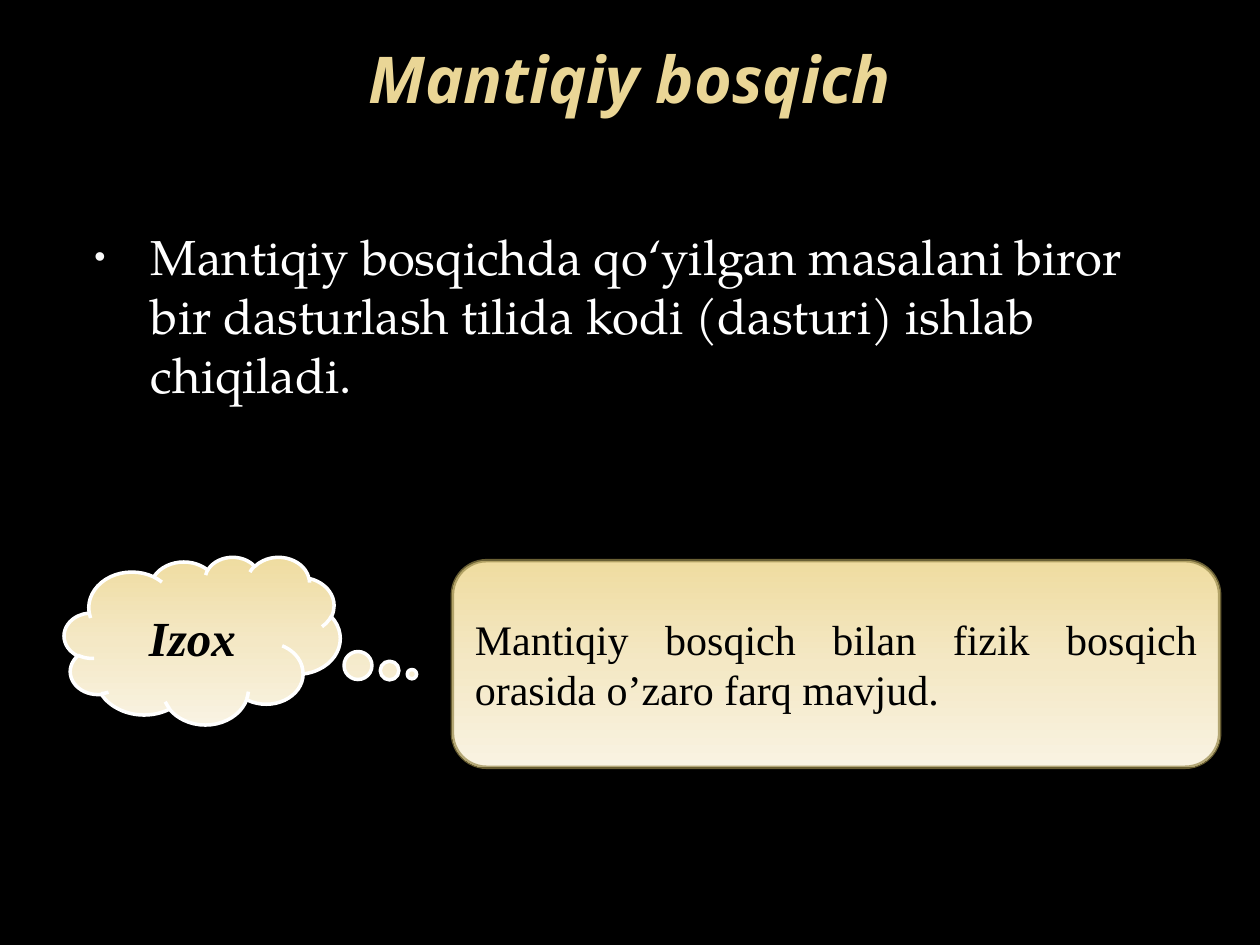
from copy import deepcopy
from dataclasses import dataclass

from pptx import Presentation
from pptx.dml.color import RGBColor
from pptx.enum.shapes import MSO_SHAPE
from pptx.enum.text import MSO_ANCHOR, PP_ALIGN
from pptx.oxml.ns import qn
from pptx.util import Pt
from lxml import etree

CLOUD, ROUNDED = MSO_SHAPE.CLOUD_CALLOUT, MSO_SHAPE.ROUNDED_RECTANGLE
TOP, MIDDLE = MSO_ANCHOR.TOP, MSO_ANCHOR.MIDDLE
LEFT, CENTER, JUSTIFY = PP_ALIGN.LEFT, PP_ALIGN.CENTER, PP_ALIGN.JUSTIFY


@dataclass(frozen=True)
class TextStyle:
    font: str
    size: float
    color: str
    emphasis: bool = False


@dataclass(frozen=True)
class Theme:
    background: str = "000000"
    bullet: str = "F9F9F9"
    cloud_line: str = "FFFFFF"
    note_line: str = "98894B"
    panel: tuple = ((0, "EFDCA0"), (0.5, "F4E8C5"), (1, "F9F3E2"))
    title: TextStyle = TextStyle("Open Sans", 36.9, "EAD696", True)
    body: TextStyle = TextStyle("TeX Gyre Pagella", 28, "FFFFFF")
    label: TextStyle = TextStyle("Times New Roman", 28, "000000", True)
    note: TextStyle = TextStyle("Times New Roman", 24, "000000")


THEME = Theme()


def color(value):
    return RGBColor.from_string(value)


def points(box):
    return [Pt(length) for length in box]


def write(shape, text, style, alignment, anchor):
    frame = shape.text_frame
    frame.word_wrap = True
    frame.vertical_anchor = anchor
    paragraph = frame.paragraphs[0]
    paragraph.alignment = alignment
    run = paragraph.add_run()
    run.text = text
    run.font.name = style.font
    run.font.size = Pt(style.size)
    run.font.bold = run.font.italic = style.emphasis
    run.font.color.rgb = color(style.color)
    return paragraph


def add_bullet(paragraph):
    properties = paragraph._p.get_or_add_pPr()
    properties.set("marL", str(Pt(43.2)))
    properties.set("indent", str(Pt(-32.4)))
    bullet_color = etree.SubElement(properties, qn("a:buClr"))
    etree.SubElement(bullet_color, qn("a:srgbClr"), val=THEME.bullet)
    etree.SubElement(properties, qn("a:buSzPct"), val="65000")
    etree.SubElement(properties, qn("a:buFont"), typeface="Arial")
    etree.SubElement(properties, qn("a:buChar"), char="•")


def add_title(slide, box, text):
    shape = slide.shapes.add_textbox(*points(box))
    paragraph = write(shape, text, THEME.title, CENTER, MIDDLE)
    paragraph.add_line_break()
    paragraph.font.size = Pt(THEME.title.size)
    paragraph.font.name = THEME.title.font


def add_body(slide, box, text):
    shape = slide.shapes.add_textbox(*points(box))
    paragraph = write(shape, text, THEME.body, LEFT, TOP)
    paragraph.space_before = Pt(0.2 * THEME.body.size)
    add_bullet(paragraph)


def add_panel(slide, kind, box, line_color):
    shape = slide.shapes.add_shape(kind, *points(box))
    shape.shadow.inherit = False
    shape.fill.gradient()
    shape.fill.gradient_angle = 270
    stop_list = shape._element.spPr.find(".//" + qn("a:gsLst"))
    stop_list.insert(1, deepcopy(stop_list[0]))
    for stop, (position, value) in zip(shape.fill.gradient_stops, THEME.panel):
        stop.position = position
        stop.color.rgb = color(value)
    shape.line.color.rgb = color(line_color)
    shape.line.width = Pt(2)
    return shape


def add_cloud(slide, box, text):
    shape = add_panel(slide, CLOUD, box, THEME.cloud_line)
    shape.adjustments[0] = 0.76
    shape.adjustments[1] = 0.2
    write(shape, text, THEME.label, CENTER, MIDDLE)


def add_note(slide, box, text):
    shape = add_panel(slide, ROUNDED, box, THEME.note_line)
    line_color = shape._element.spPr.find(qn("a:ln")).find(".//" + qn("a:srgbClr"))
    etree.SubElement(line_color, qn("a:alpha"), val="70000")
    write(shape, text, THEME.note, JUSTIFY, MIDDLE)


def main():
    presentation = Presentation()
    presentation.slide_width, presentation.slide_height = Pt(720), Pt(540)
    slide = presentation.slides.add_slide(presentation.slide_layouts[6])
    slide.background.fill.solid()
    slide.background.fill.fore_color.rgb = color(THEME.background)
    add_title(slide, (36, 21.6, 648, 90), "Mantiqiy bosqich")
    add_body(slide, (36, 126, 648, 87.1),
             "Mantiqiy bosqichda qo‘yilgan masalani biror bir dasturlash "
             "tilida kodi (dasturi) ishlab chiqiladi.")
    add_cloud(slide, (36.7, 318.2, 157.7, 95.8), "Izox")
    add_note(slide, (258.5, 320.4, 438.5, 118.1),
             "Mantiqiy bosqich bilan fizik bosqich orasida o’zaro farq mavjud.")
    presentation.save("out.pptx")


main()
